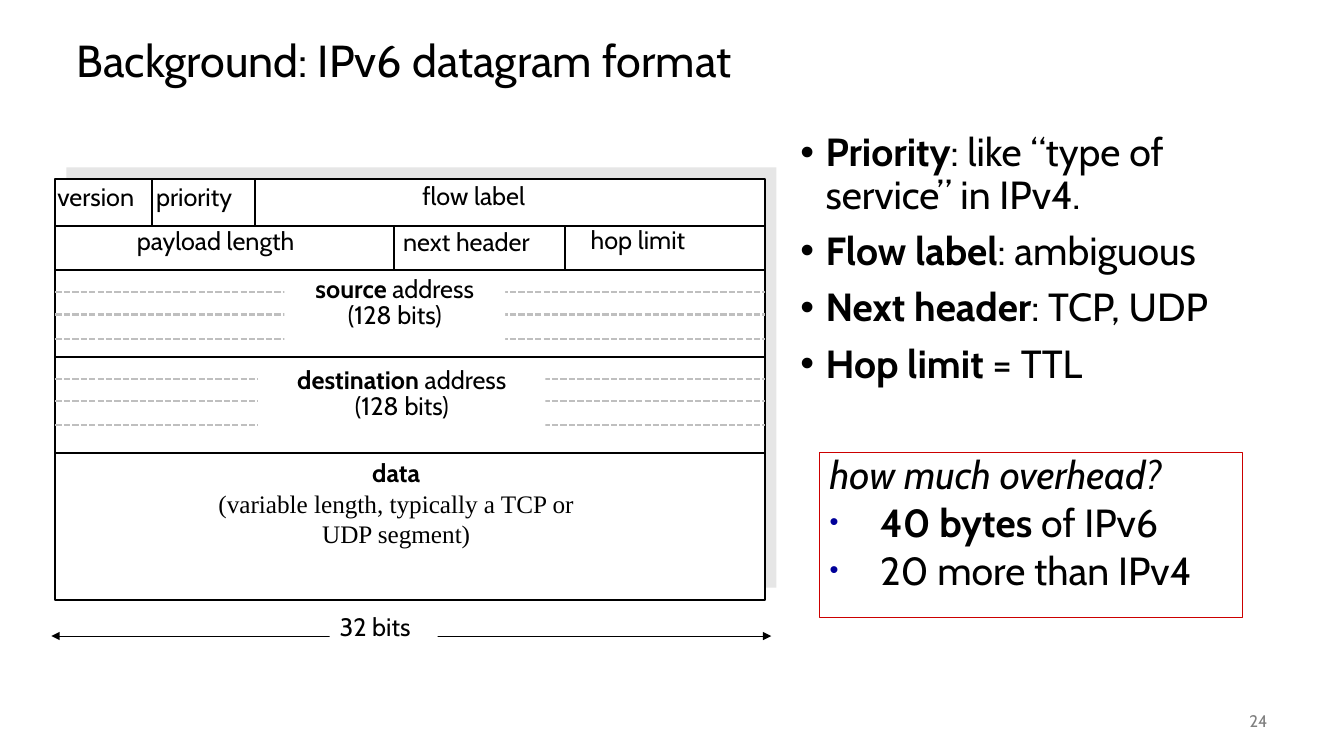
from dataclasses import dataclass
from itertools import accumulate

from lxml import etree
from pptx import Presentation
from pptx.dml.color import RGBColor
from pptx.enum.dml import MSO_LINE
from pptx.enum.shapes import MSO_CONNECTOR, MSO_SHAPE
from pptx.enum.text import MSO_ANCHOR, PP_ALIGN
from pptx.oxml.ns import qn
from pptx.util import Inches, Pt

STRAIGHT = MSO_CONNECTOR.STRAIGHT
RECTANGLE = MSO_SHAPE.RECTANGLE
DASH = MSO_LINE.SQUARE_DOT
TOP, MIDDLE = MSO_ANCHOR.TOP, MSO_ANCHOR.MIDDLE
LEFT, CENTER, RIGHT = PP_ALIGN.LEFT, PP_ALIGN.CENTER, PP_ALIGN.RIGHT


@dataclass(frozen=True)
class Theme:
    font: str = "Cabin"
    serif: str = "Times New Roman"
    ink: str = "000000"
    paper: str = "FFFFFF"
    shade: str = "E6E6E6"
    dash: str = "BFBFBF"
    number: str = "808080"
    alert: str = "CC0000"
    bullet: str = "000099"
    title_size: int = 32
    body_size: int = 28
    label_size: int = 18
    number_size: int = 12
    rule: float = 1.5
    thin: float = 0.75


@dataclass(frozen=True)
class Box:
    left: float
    top: float
    width: float
    height: float

    def inside(self, left, top, width, height):
        """A box given relative to this one's top left corner."""
        return Box(self.left + left, self.top + top, width, height)

    def inches(self):
        return [Inches(v) for v in (self.left, self.top, self.width, self.height)]


THEME = Theme()


def rgb(color):
    return RGBColor.from_string(color)


def add_rectangle(page, box, fill=None, line=None, weight=THEME.rule):
    shape = page.shapes.add_shape(RECTANGLE, *box.inches())
    shape.shadow.inherit = False
    if fill:
        shape.fill.solid()
        shape.fill.fore_color.rgb = rgb(fill)
    else:
        shape.fill.background()
    if line:
        shape.line.color.rgb = rgb(line)
        shape.line.width = Pt(weight)
    else:
        shape.line.fill.background()
    return shape


def add_text_box(page, box):
    return page.shapes.add_textbox(*box.inches())


def add_line(page, start, end, color=THEME.ink, weight=THEME.rule):
    line = page.shapes.add_connector(STRAIGHT, *[Inches(v) for v in (*start, *end)])
    line.line.color.rgb = rgb(color)
    line.line.width = Pt(weight)
    etree.SubElement(line._element.spPr, qn("a:effectLst"))
    return line


def add_bullet(para, indent, color=None, percent=100):
    props = para._p.get_or_add_pPr()
    props.set("marL", str(Inches(indent)))
    props.set("indent", str(-Inches(indent)))
    if color:
        etree.SubElement(etree.SubElement(props, qn("a:buClr")), qn("a:srgbClr"), val=color)
    etree.SubElement(props, qn("a:buSzPct"), val=str(percent * 1000))
    etree.SubElement(props, qn("a:buFont"), typeface="Arial")
    etree.SubElement(props, qn("a:buChar"), char="•")


def write(shape, paragraphs, size, align=LEFT, anchor=TOP, spacing=None, before=0,
          color=THEME.ink, bullet=None, plain_first=False):
    """Fill a shape with paragraphs, each a list of (text, font changes) spans."""
    frame = shape.text_frame
    frame.word_wrap = True
    frame.vertical_anchor = anchor
    for index, spans in enumerate(paragraphs):
        para = frame.add_paragraph() if index else frame.paragraphs[0]
        if bullet and (index or not plain_first):
            add_bullet(para, *bullet)
        para.alignment = align
        if spacing:
            para.line_spacing = spacing
        if index and before:
            para.space_before = Pt(before)
        for text, changes in spans:
            span = para.add_run()
            span.text = text
            span.font.size = Pt(size)
            span.font.color.rgb = rgb(color)
            for name, value in {"name": THEME.font, **changes}.items():
                setattr(span.font, name, value)


BOLD = {"bold": True}


def add_title(page, box):
    write(add_text_box(page, box), [[("Background: IPv6 datagram format", {})]],
          THEME.title_size, anchor=MIDDLE, spacing=0.9)


def add_page_number(page, box):
    write(add_text_box(page, box), [[("24", {})]], THEME.number_size,
          align=RIGHT, anchor=MIDDLE, color=THEME.number)


def add_field_notes(page, box):
    notes = [("Priority", ": like “type of service” in IPv4."),
             ("Flow label", ": ambiguous"),
             ("Next header", ": TCP, UDP"),
             ("Hop limit ", "= TTL")]
    write(add_text_box(page, box), [[(field, BOLD), (note, {})] for field, note in notes],
          THEME.body_size, spacing=0.9, before=10, bullet=(0.25,))


def add_overhead(page, box):
    shape = add_rectangle(page, box, line=THEME.alert, weight=THEME.thin)
    write(shape, [[("how much overhead?", {"italic": True})],
                  [("40 bytes ", BOLD), ("of IPv6", {})],
                  [("20 more than IPv4", {})]],
          THEME.body_size, spacing=0.85, before=5.6,
          bullet=(0.5, THEME.bullet, 65), plain_first=True)


def add_address(page, box, kind, label):
    """Dashed word lines across the row, with the label over their middle."""
    for offset in (0.22, 0.44, 0.68):
        y = box.top + offset
        add_line(page, (box.left, y), (box.left + box.width, y), THEME.dash).line.dash_style = DASH
    write(add_rectangle(page, label, fill=THEME.paper),
          [[(kind, BOLD), (" address", {})], [("(128 bits)", {})]],
          THEME.label_size, align=CENTER, spacing=0.85)


def add_datagram(page, box):
    add_rectangle(page, box.inside(0.11, -0.12, box.width, box.height), fill=THEME.shade)
    add_rectangle(page, box, fill=THEME.paper, line=THEME.ink)

    tops = list(accumulate((0.46, 0.44, 0.86, 0.95), initial=0))
    right = box.left + box.width
    for top in tops[1:]:
        add_line(page, (box.left, box.top + top), (right, box.top + top))
    for row, x in ((0, 0.96), (0, 1.98), (1, 3.36), (1, 5.05)):
        add_line(page, (box.left + x, box.top + tops[row]),
                 (box.left + x, box.top + tops[row + 1]))

    for text, x, y, width in (("version", -0.08, -0.03, 1.15), ("priority", 0.9, -0.03, 1.16),
                              ("flow label", 3.54, -0.04, 1.47),
                              ("payload length", 0.71, 0.41, 2.09),
                              ("next header", 3.35, 0.42, 1.72),
                              ("hop limit", 5.21, 0.4, 1.39)):
        write(add_text_box(page, box.inside(x, y, width, 0.5)), [[(text, {})]],
              THEME.label_size)

    add_address(page, box.inside(0, tops[2], box.width, 0.86), "source",
                box.inside(2.27, 0.93, 2.19, 0.8))
    add_address(page, box.inside(0, tops[3], box.width, 0.95), "destination",
                box.inside(2.01, 1.83, 2.85, 0.79))
    write(add_text_box(page, box.inside(1.48, tops[4], 3.8, 1.31)),
          [[("data", BOLD)],
           [("(variable length, typically a TCP or UDP segment)", {"name": THEME.serif})]],
          THEME.label_size, align=CENTER)


def add_width_arrow(page, box):
    y = box.top + 0.29
    arrow = add_line(page, (box.left, y), (box.left + box.width, y), weight=THEME.thin)
    outline = arrow.line._get_or_add_ln()
    for end in ("a:headEnd", "a:tailEnd"):
        etree.SubElement(outline, qn(end), type="triangle")
    label = add_rectangle(page, box.inside(2.76, 0, 1.07, box.height), fill=THEME.paper)
    write(label, [[("32 bits", {})]], THEME.label_size)


def main():
    deck = Presentation()
    deck.slide_width, deck.slide_height = Inches(13.33), Inches(7.5)
    page = deck.slides.add_slide(deck.slide_layouts[6])
    add_title(page, Box(0.66, 0.25, 12, 0.75))
    add_page_number(page, Box(11.67, 6.95, 1, 0.4))
    add_field_notes(page, Box(7.84, 1.27, 4.83, 2.73))
    add_datagram(page, Box(0.55, 1.78, 7.04, 4.17))
    add_width_arrow(page, Box(0.51, 6.02, 7.14, 0.5))
    add_overhead(page, Box(8.13, 4.49, 4.19, 1.64))
    deck.save("out.pptx")


if __name__ == "__main__":
    main()
